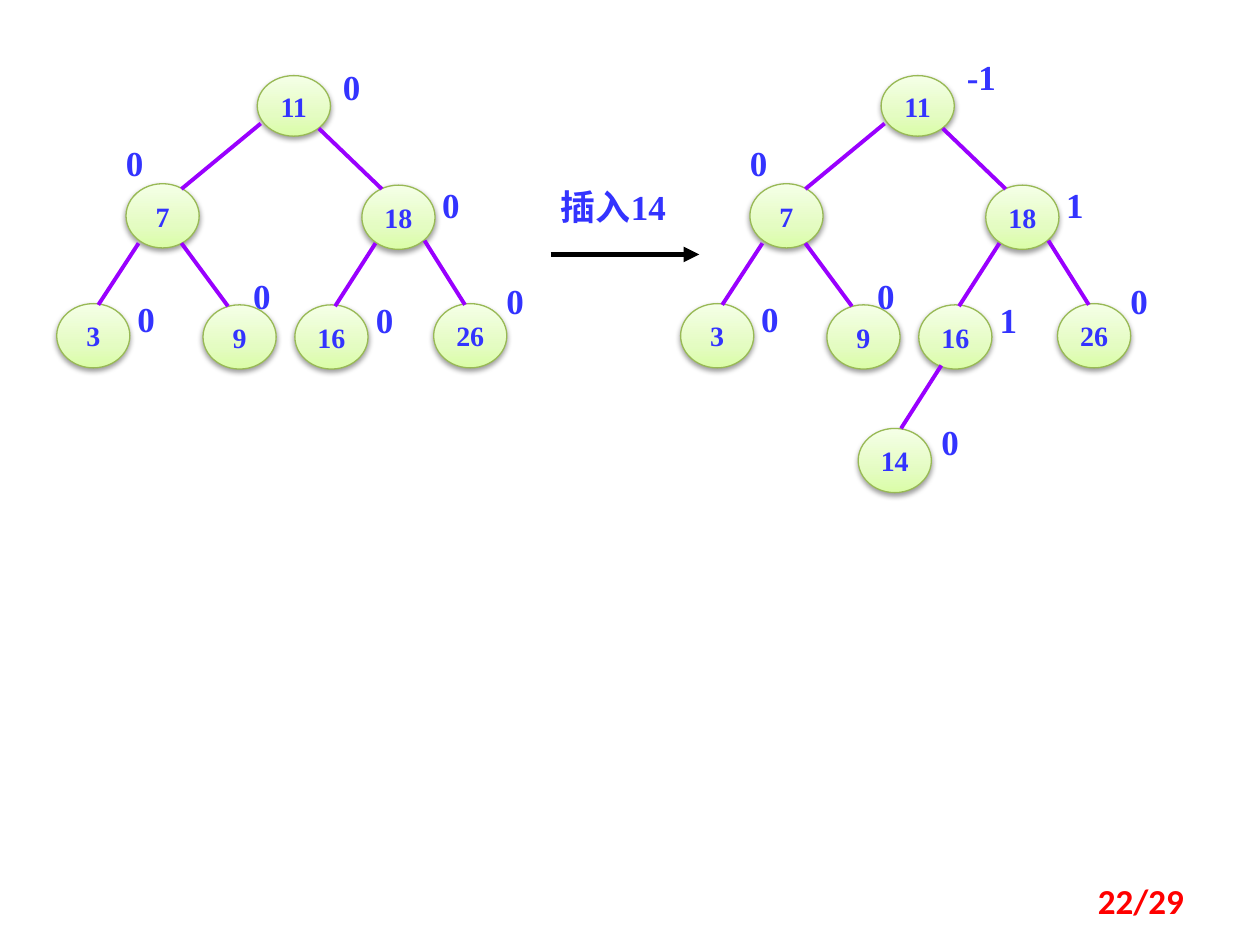
"""Builds a slide that shows an AVL tree before and after inserting 14."""
from copy import deepcopy

from lxml import etree
from pptx import Presentation
from pptx.dml.color import RGBColor
from pptx.enum.shapes import MSO_CONNECTOR, MSO_SHAPE
from pptx.enum.text import MSO_ANCHOR, PP_ALIGN
from pptx.oxml.ns import qn
from pptx.util import Pt

COLORS = {"text": "3333FF", "edge": "9900FF", "arrow": "000000", "page": "FF0000",
          "outline": "98B955", "shadow": "000000"}
NODE_STOPS = [(0, "DAFDA7"), (0.35, "E4FCC2"), (1, "F5FFE7")]


def rgb(name):
    return RGBColor.from_string(COLORS[name])


def add_xml(parent, tag, **attributes):
    return etree.SubElement(parent, qn(tag), attributes)


class TreeSlide:
    serif = "Times New Roman"
    node_width = 41.8

    def __init__(self, slide):
        self.shapes = slide.shapes

    def set_text(self, shape, text, size, color="text", font=None, align=None, anchor=None, wrap=True):
        frame = shape.text_frame
        frame.word_wrap = wrap
        frame.margin_left = frame.margin_right = frame.margin_top = frame.margin_bottom = 0
        if anchor is not None:
            frame.vertical_anchor = anchor
        paragraph = frame.paragraphs[0]
        paragraph.alignment = align
        run = paragraph.add_run()
        run.text = text
        run.font.size = Pt(size)
        run.font.bold = True
        run.font.name = font or self.serif
        run.font.color.rgb = rgb(color)
        return paragraph

    def node(self, text, x, y, height=36.7):
        oval = self.shapes.add_shape(MSO_SHAPE.OVAL, Pt(x), Pt(y), Pt(self.node_width), Pt(height))
        oval.fill.gradient()
        oval.fill.gradient_angle = 90
        stop_list = oval.element.spPr.find(".//" + qn("a:gsLst"))
        stop_list.append(deepcopy(stop_list[0]))
        for stop, (position, color) in zip(oval.fill.gradient_stops, NODE_STOPS):
            stop.position = position
            stop.color.rgb = RGBColor.from_string(color)
        oval.line.color.rgb = rgb("outline")
        oval.line.width = Pt(0.75)
        oval.shadow.inherit = False
        effects = oval.element.spPr.find(qn("a:effectLst"))
        shadow = add_xml(effects, "a:outerShdw", blurRad=str(Pt(3.1)), dist=str(Pt(1.6)),
                         dir="5400000", rotWithShape="0")
        shade = add_xml(shadow, "a:srgbClr", val=COLORS["shadow"])
        add_xml(shade, "a:alpha", val="38000")
        self.set_text(oval, text, 16, align=PP_ALIGN.CENTER, anchor=MSO_ANCHOR.MIDDLE, wrap=False)

    def label(self, text, x, y, width=19.4):
        box = self.shapes.add_textbox(Pt(x), Pt(y), Pt(width), Pt(24))
        paragraph = self.set_text(box, text, 20)
        before = add_xml(paragraph._p.get_or_add_pPr(), "a:spcBef")
        add_xml(before, "a:spcPct", val="50000")

    def line(self, x1, y1, x2, y2, color="edge", width=2.25, arrow=False):
        line = self.shapes.add_connector(MSO_CONNECTOR.STRAIGHT, Pt(x1), Pt(y1), Pt(x2), Pt(y2))
        line.line.color.rgb = rgb(color)
        line.line.width = Pt(width)
        if arrow:
            add_xml(line._element.spPr.find(qn("a:ln")), "a:tailEnd", type="triangle")
        add_xml(line._element.spPr, "a:effectLst")

    def page_number(self, text):
        box = self.shapes.add_textbox(Pt(516), Pt(500.4), Pt(160.6), Pt(28.8))
        self.set_text(box, text, 20, "page", "Calibri", PP_ALIGN.RIGHT, MSO_ANCHOR.MIDDLE)

    def tree(self, left, nodes, edges, balances):
        for text, x, y, *height in nodes:
            self.node(text, left + x, y, *height)
        for x1, y1, x2, y2 in edges:
            self.line(left + x1, y1, left + x2, y2)
        for text, x, y in balances:
            self.label(text, left + x, y)


NODES = [("11", 147, 43.2, 34.6), ("7", 72, 105), ("18", 206.8, 105.8), ("3", 32.4, 173.5),
         ("26", 247.8, 173.5), ("9", 116, 174.2), ("16", 168.5, 174.2)]
EDGES = [(149, 70.6, 103.7, 108), (182.2, 73.4, 218.2, 108), (79.2, 139, 56.2, 174.2),
         (103.7, 139, 130.3, 175), (214.6, 139, 191.5, 175), (242.6, 137.5, 265.7, 174.2)]
SHARED_BALANCES = [("0", 72, 80.8), ("0", 78.5, 170), ("0", 144.7, 157), ("0", 289.4, 159.8)]


def changing_balances(root, right, inner, root_top):
    return [(root, 196, root_top), (right, 252.7, 105.1), (inner, 214.8, 170.6)]


presentation = Presentation()
presentation.slide_width, presentation.slide_height = Pt(720), Pt(540)
page = TreeSlide(presentation.slides.add_slide(presentation.slide_layouts[6]))

page.tree(0, NODES, EDGES, SHARED_BALANCES + changing_balances("0", "0", "0", 37.5))
page.line(314.6, 145.4, 399.6, 145.4, "arrow", 3, arrow=True)
page.label("插入14", 320.4, 105.8, 73.4)
page.tree(356.5, NODES + [("14", 133.9, 244.8)], EDGES + [(181.4, 208.8, 158.4, 244.8)],
          SHARED_BALANCES + changing_balances("-1", "1", "1", 31.7) + [("0", 181.4, 240.5)])
page.page_number("22/29")

presentation.save("out.pptx")
